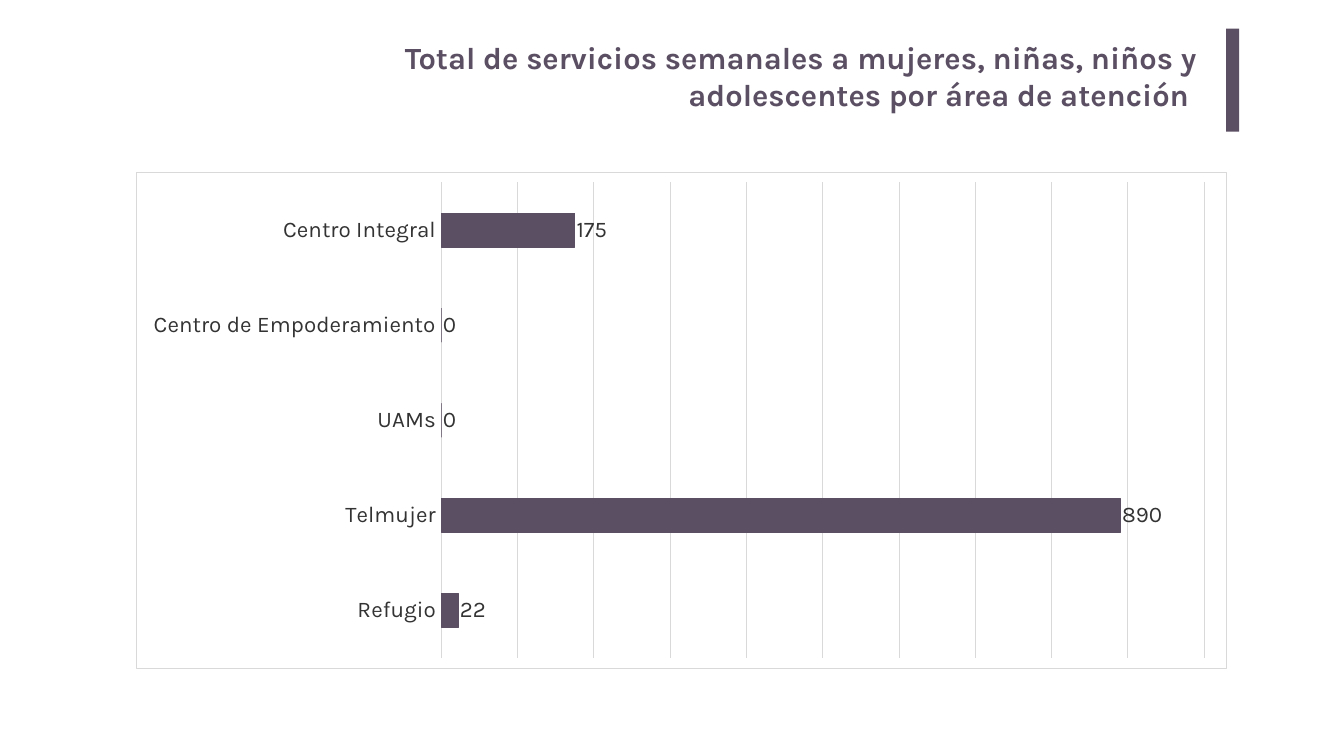
from typing import NamedTuple

from lxml import etree
from pptx import Presentation
from pptx.chart.data import CategoryChartData
from pptx.dml.color import RGBColor
from pptx.enum.chart import XL_CHART_TYPE, XL_LABEL_POSITION, XL_TICK_LABEL_POSITION, XL_TICK_MARK
from pptx.enum.shapes import MSO_SHAPE
from pptx.enum.text import MSO_ANCHOR, MSO_AUTO_SIZE, PP_ALIGN
from pptx.oxml import parse_xml
from pptx.oxml.ns import nsdecls, qn
from pptx.util import Pt

BAR_CLUSTERED = XL_CHART_TYPE.BAR_CLUSTERED
OUTSIDE_END = XL_LABEL_POSITION.OUTSIDE_END
LABELS_LOW = XL_TICK_LABEL_POSITION.LOW
NO_TICK = XL_TICK_MARK.NONE
RECTANGLE = MSO_SHAPE.RECTANGLE
TOP = MSO_ANCHOR.TOP
NO_AUTOFIT = MSO_AUTO_SIZE.NONE
RIGHT = PP_ALIGN.RIGHT

PX = 9144
FONT = "Karla"
PURPLE, GRAY, INK = "5B4F63", "D9D9D9", "333333"
TITLE = "Total de servicios semanales a mujeres, niñas, niños y adolescentes por área de atención "


class Box(NamedTuple):
    left: int
    top: int
    width: int
    height: int

    def emu(self) -> list[int]:
        return [v * PX for v in self]


class Service(NamedTuple):
    area: str
    total: int


SERVICES = [
    Service("Centro Integral", 175),
    Service("Centro de Empoderamiento", 0),
    Service("UAMs", 0),
    Service("Telmujer", 890),
    Service("Refugio", 22),
]


def color(value: str) -> RGBColor:
    return RGBColor.from_string(value)


def set_font(font, size: int, value: str, bold: bool = False) -> None:
    font.name = FONT
    font.size = Pt(size)
    font.bold = bold
    font.color.rgb = color(value)


def set_line(line, value: str) -> None:
    line.color.rgb = color(value)
    line.width = Pt(0.75)


def add_title(slide, box: Box) -> None:
    sp = slide.shapes.title
    sp.left, sp.top, sp.width, sp.height = box.emu()
    tf = sp.text_frame
    tf.text = TITLE
    tf.word_wrap = True
    tf.auto_size = NO_AUTOFIT
    tf.vertical_anchor = TOP
    tf.margin_left = tf.margin_right = 20 * PX
    tf.margin_top = tf.margin_bottom = 10 * PX
    p = tf.paragraphs[0]
    p.alignment = RIGHT
    set_font(p.runs[0].font, 44, PURPLE, True)


def add_accent(slide, box: Box) -> None:
    sp = slide.shapes.add_shape(RECTANGLE, *box.emu())
    sp.shadow.inherit = False
    sp.fill.solid()
    sp.fill.fore_color.rgb = color(PURPLE)
    sp.line.fill.background()


def frame_chart(chart) -> None:
    frame = parse_xml(
        f'<c:spPr {nsdecls("c", "a")}>'
        '<a:solidFill><a:srgbClr val="FFFFFF"/></a:solidFill>'
        f'<a:ln w="9525"><a:solidFill><a:srgbClr val="{GRAY}"/></a:solidFill></a:ln>'
        '</c:spPr>'
    )
    chart.element.find(qn("c:txPr")).addprevious(frame)


def place_plot(chart, x: float, y: float, w: float, h: float) -> None:
    area = chart.element.find(qn("c:chart")).find(qn("c:plotArea"))
    for old in area.findall(qn("c:layout")):
        area.remove(old)
    layout = etree.Element(qn("c:layout"))
    manual = etree.SubElement(layout, qn("c:manualLayout"))
    settings = {"layoutTarget": "inner", "xMode": "edge", "yMode": "edge", "x": x, "y": y, "w": w, "h": h}
    for tag, value in settings.items():
        etree.SubElement(manual, qn(f"c:{tag}")).set("val", str(value))
    area.insert(0, layout)


def add_services_chart(slide, box: Box, services: list[Service]) -> None:
    data = CategoryChartData()
    data.categories = [s.area for s in services]
    data.add_series("Series 1", [s.total for s in services])
    chart = slide.shapes.add_chart(BAR_CLUSTERED, *box.emu(), data).chart
    set_font(chart.font, 10, "000000")
    chart.has_legend = False
    chart.has_title = False
    frame_chart(chart)
    place_plot(chart, 0.28, 0.02, 0.7, 0.96)

    areas = chart.category_axis
    areas.reverse_order = True
    areas.major_tick_mark = areas.minor_tick_mark = NO_TICK
    areas.tick_label_position = LABELS_LOW
    set_font(areas.tick_labels.font, 32, INK)
    set_line(areas.format.line, GRAY)

    totals = chart.value_axis
    totals.visible = False
    totals.minimum_scale, totals.maximum_scale, totals.major_unit = 0, 1000, 100
    totals.has_major_gridlines = True
    set_line(totals.major_gridlines.format.line, GRAY)

    plot = chart.plots[0]
    plot.gap_width = 182
    plot.vary_by_categories = False
    series = plot.series[0]
    series.format.fill.solid()
    series.format.fill.fore_color.rgb = color(PURPLE)
    set_line(series.format.line, PURPLE)
    labels = series.data_labels
    labels.show_value = True
    labels.position = OUTSIDE_END
    set_font(labels.font, 32, INK)


def main() -> None:
    prs = Presentation()
    prs.slide_width, prs.slide_height = 2667 * PX, 1500 * PX
    slide = prs.slides.add_slide(prs.slide_layouts[5])
    add_title(slide, Box(656, 67, 1740, 204))
    add_accent(slide, Box(2433, 57, 26, 204))
    add_services_chart(slide, Box(269, 342, 2164, 984), SERVICES)
    prs.save("out.pptx")


if __name__ == "__main__":
    main()
